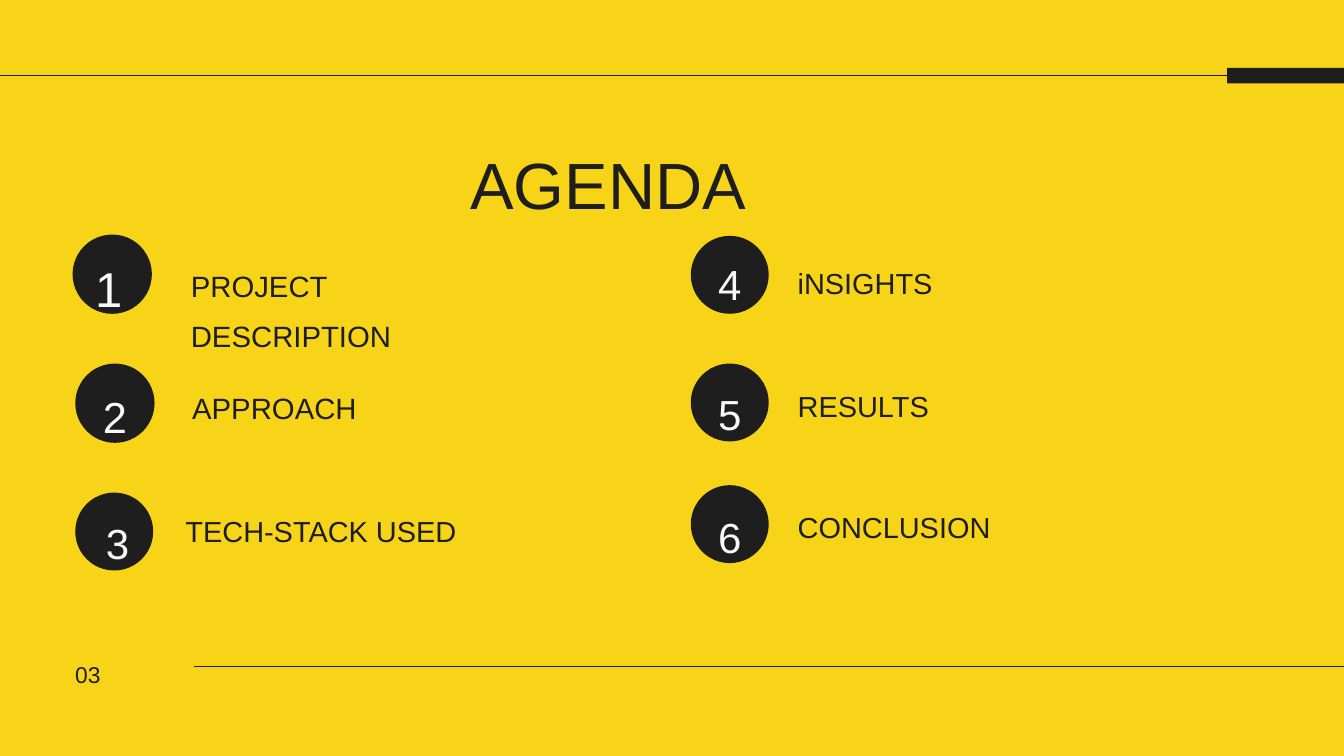
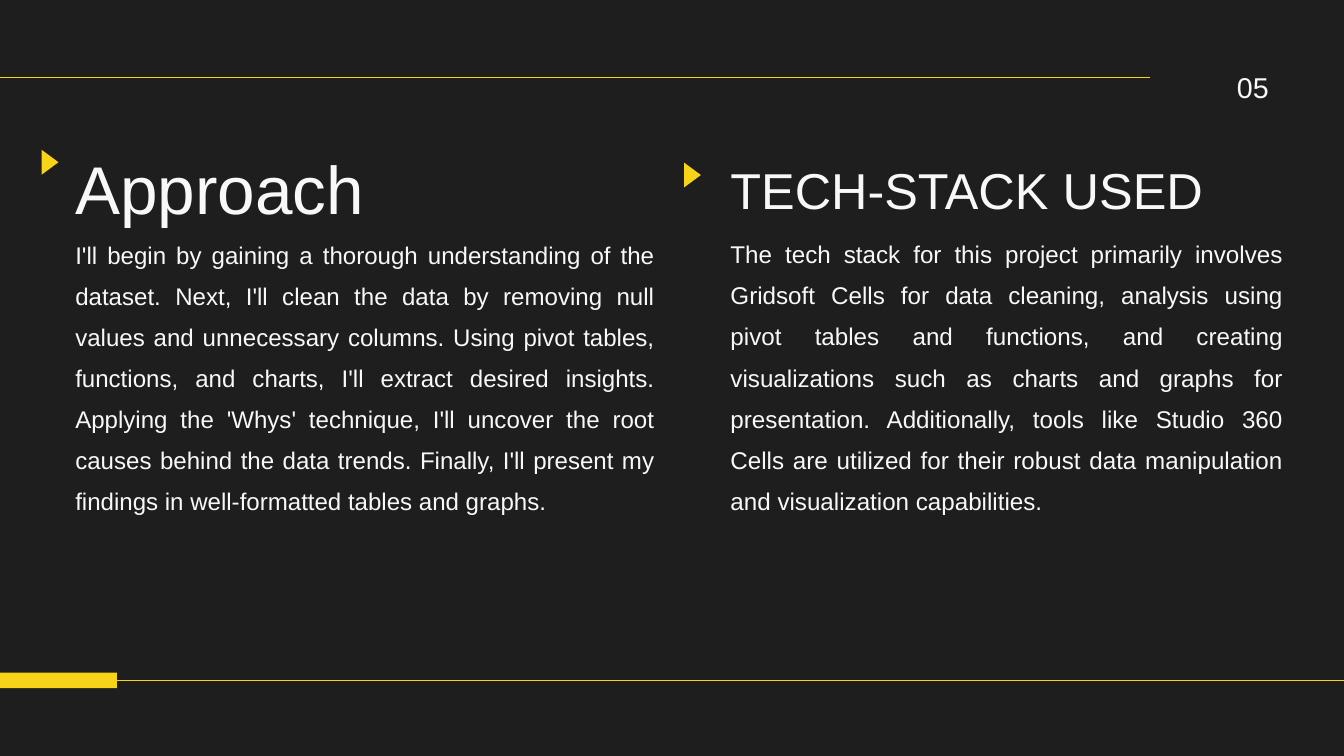
from lxml import etree
from pptx import Presentation
from pptx.dml.color import RGBColor
from pptx.enum.shapes import MSO_CONNECTOR, MSO_SHAPE
from pptx.enum.text import MSO_AUTO_SIZE, PP_ALIGN
from pptx.oxml.ns import qn
from pptx.util import Inches, Pt

LEFT, CENTER, RIGHT, JUSTIFY = PP_ALIGN.LEFT, PP_ALIGN.CENTER, PP_ALIGN.RIGHT, PP_ALIGN.JUSTIFY
RECTANGLE, OVAL = MSO_SHAPE.RECTANGLE, MSO_SHAPE.OVAL
STRAIGHT = MSO_CONNECTOR.STRAIGHT

COLORS = {"yellow": "F8D418", "dark": "1E1E1E", "light": "F8F8F8"}
COLORS = {name: RGBColor.from_string(value) for name, value in COLORS.items()}
FONT = "Arial"
TITLE_SPACING, BODY_SPACING = 1.26, 1.42

presentation = Presentation()
presentation.slide_width = Inches(20)
presentation.slide_height = Inches(11.25)

# Every length below counts cells of a square grid, 20 columns wide
CELL = presentation.slide_width // 20


def fill_shape(shape, color):
    shape.shadow.inherit = False
    shape.fill.solid()
    shape.fill.fore_color.rgb = COLORS[color]
    shape.line.fill.background()


def add_text(slide, box, runs, color, spacing=BODY_SPACING, align=LEFT):
    textbox = slide.shapes.add_textbox(*(round(length * CELL) for length in box))
    frame = textbox.text_frame
    frame.word_wrap = True
    frame.auto_size = MSO_AUTO_SIZE.SHAPE_TO_FIT_TEXT
    frame.margin_left = frame.margin_right = frame.margin_top = frame.margin_bottom = 0
    paragraph = frame.paragraphs[0]
    paragraph.alignment = align
    paragraph.line_spacing = spacing
    for text, size in runs:
        run = paragraph.add_run()
        run.text = text
        run.font.name = FONT
        run.font.size = Pt(size)
        run.font.color.rgb = COLORS[color]


# Shared frame: background, accent bar, two rules, page number
frames = [
    dict(background="yellow", accent="dark", bar=(18.26, 1.01),
         rules=[(0, 18.26, 1.125), (2.88, 20, 9.92)],
         page=("03", 24.5, (1.12, 9.66, 1.04, 0.47), "dark", LEFT)),
    dict(background="dark", accent="yellow", bar=(0, 10.01),
         rules=[(1.74, 20, 10.125), (0, 17.12, 1.155)],
         page=("05", 30.7, (17.58, 0.83, 1.3, 0.58), "light", RIGHT)),
]
slides = []
for frame in frames:
    slide = presentation.slides.add_slide(presentation.slide_layouts[6])
    slide.background.fill.solid()
    slide.background.fill.fore_color.rgb = COLORS[frame["background"]]
    bar_left, bar_top = frame["bar"]
    bar = slide.shapes.add_shape(RECTANGLE, round(bar_left * CELL), round(bar_top * CELL),
                                 round(1.74 * CELL), round(0.23 * CELL))
    fill_shape(bar, frame["accent"])
    for start, end, height in frame["rules"]:
        rule = slide.shapes.add_connector(STRAIGHT, round(start * CELL), round(height * CELL),
                                          round(end * CELL), round(height * CELL))
        rule.line.color.rgb = COLORS[frame["accent"]]
        rule.line.width = Pt(1.75)
        etree.SubElement(rule._element.spPr, qn("a:effectLst"))
    number, size, box, color, align = frame["page"]
    add_text(slide, box, [(number, size)], color, align=align)
    slides.append(slide)
agenda_slide, approach_slide = slides

# Agenda
add_text(agenda_slide, (7, 1.84, 6.01, 1.21), [("AGENDA", 70)], "dark", TITLE_SPACING)

# Circle centre and diameter; digit centre, top and size; label place and size
agenda_items = [
    ((1.67, 4.08, 1.18), (1.62, 3.62, 52.4), (2.84, 3.77, 5.07, 31.4), "PROJECT DESCRIPTION"),
    ((1.71, 6.00, 1.18), (1.71, 5.61, 46.5), (2.86, 5.58, 5.84, 31.4), "APPROACH"),
    ((1.70, 7.91, 1.16), (1.75, 7.51, 45), (2.76, 7.42, 6.81, 31), "TECH-STACK USED"),
    ((10.86, 4.09, 1.16), (10.86, 3.65, 45), (11.87, 3.74, 6.81, 31), "iNSIGHTS"),
    ((10.86, 5.99, 1.16), (10.86, 5.59, 45), (11.87, 5.56, 6.81, 31), "RESULTS"),
    ((10.86, 7.80, 1.16), (10.86, 7.41, 45), (11.87, 7.37, 6.81, 31), "CONCLUSION"),
]
for number, (circle, digit, label, text) in enumerate(agenda_items, start=1):
    center_x, center_y, diameter = circle
    disc = agenda_slide.shapes.add_shape(
        OVAL, round((center_x - diameter / 2) * CELL), round((center_y - diameter / 2) * CELL),
        round(diameter * CELL), round(diameter * CELL))
    fill_shape(disc, "dark")
    digit_x, digit_top, digit_size = digit
    add_text(agenda_slide, (digit_x - 0.4, digit_top, 0.8, 0.78), [(str(number), digit_size)],
             "light", TITLE_SPACING, CENTER)
    label_left, label_top, label_width, label_size = label
    add_text(agenda_slide, (label_left, label_top, label_width, 0.56), [(text, label_size)], "dark")

# Approach and tech stack: marker, heading and body in two columns
columns = [
    dict(marker=(0.62, 2.23), heading_box=(1.12, 1.87, 8.58, 1.24),
         heading=[("Approach", 72.3)], spacing=TITLE_SPACING, align=JUSTIFY,
         body_box=(1.12, 3.39, 8.62, 3.51), body_size=25.8,
         body="I'll begin by gaining a thorough understanding of the dataset. Next, I'll clean "
              "the data by removing null values and unnecessary columns. Using pivot tables, "
              "functions, and charts, I'll extract desired insights. Applying the 'Whys' "
              "technique, I'll uncover the root causes behind the data trends. Finally, I'll "
              "present my findings in well-formatted tables and graphs."),
    dict(marker=(10.18, 2.42), heading_box=(10.87, 2.27, 7.36, 0.84),
         heading=[("TECH-STACK", 54), (" USED", 54.1)], spacing=1.11, align=LEFT,
         body_box=(10.87, 3.38, 8.22, 6.98), body_size=25.9,
         body="The tech stack for this project primarily involves Gridsoft Cells for data "
              "cleaning, analysis using pivot tables and functions, and creating visualizations "
              "such as charts and graphs for presentation. Additionally, tools like Studio 360 "
              "Cells are utilized for their robust data manipulation and visualization "
              "capabilities."),
]
for column in columns:
    left, top = (round(length * CELL) for length in column["marker"])
    tip = (left + round(0.25 * CELL), top + round(0.185 * CELL))
    builder = approach_slide.shapes.build_freeform(left, top)
    builder.add_line_segments([tip, (left, top + round(0.37 * CELL))], close=True)
    fill_shape(builder.convert_to_shape(), "yellow")
    add_text(approach_slide, column["heading_box"], column["heading"], "light",
             column["spacing"], column["align"])
    add_text(approach_slide, column["body_box"], [(column["body"], column["body_size"])],
             "light", align=JUSTIFY)

presentation.save("out.pptx")
